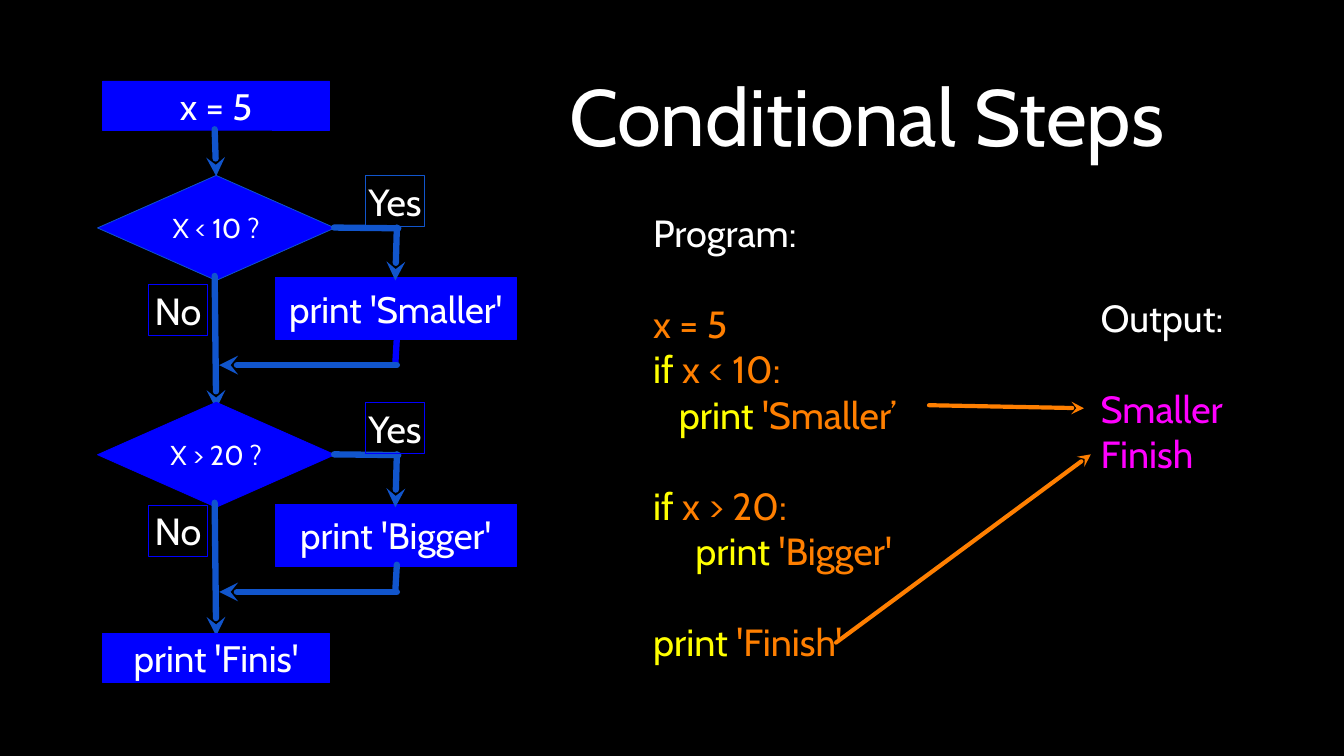
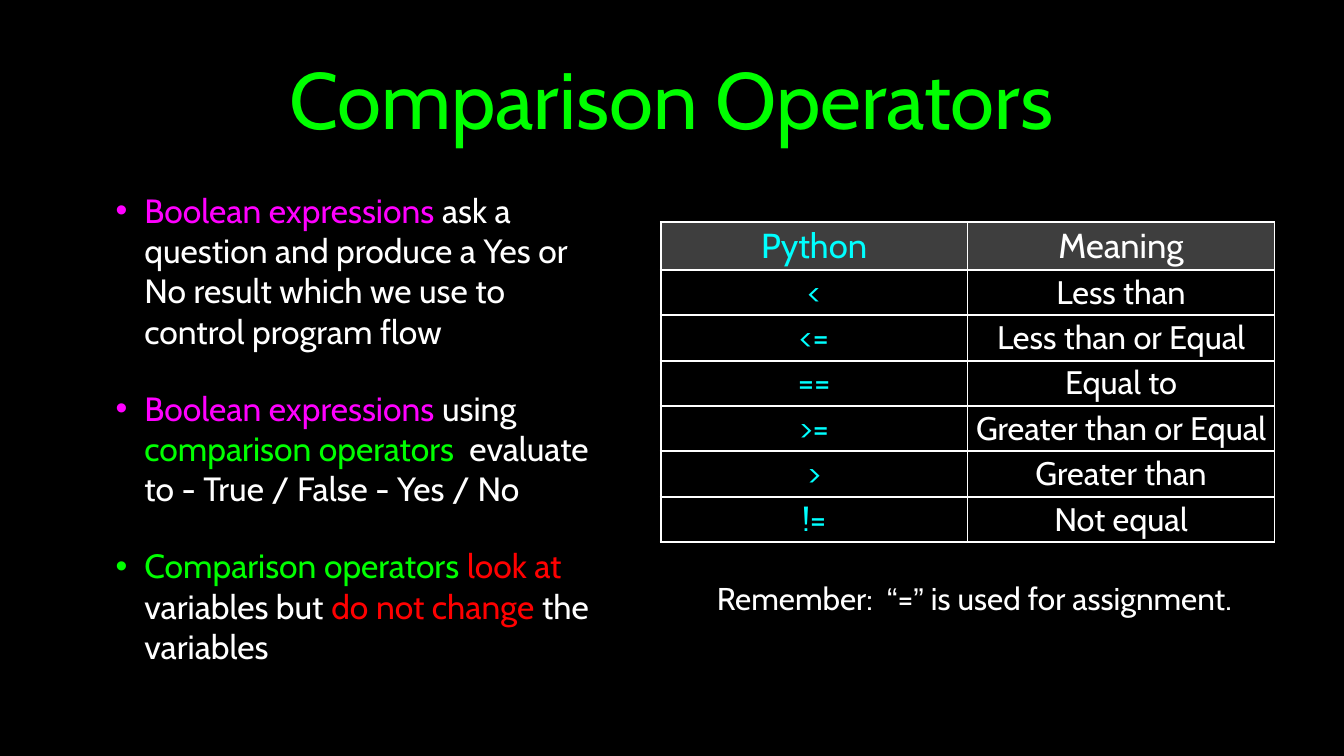
import dataclasses

import pptx
import pptx.dml.color
import pptx.enum.shapes
import pptx.enum.text
import pptx.oxml
import pptx.oxml.ns
import pptx.util
from pptx.util import Inches

SHAPE = pptx.enum.shapes.MSO_SHAPE
ALIGN = pptx.enum.text.PP_ALIGN
MIDDLE = pptx.enum.text.MSO_ANCHOR.MIDDLE
NS = pptx.oxml.ns.nsdecls("a")


@dataclasses.dataclass(frozen=True)
class Theme:
    font: str = "Cabin"
    quote_font: str = "Arial"
    black: str = "000000"
    white: str = "FFFFFF"
    blue: str = "0000FF"
    steel: str = "1155CC"
    orange: str = "FF7F00"
    yellow: str = "FFFF00"
    magenta: str = "FF00FF"
    green: str = "00FF00"
    red: str = "FF0000"
    cyan: str = "00FFFF"
    grey: str = "7F7F7F"
    title: int = 76
    code: int = 36
    step: int = 35
    question: int = 26
    bullet: int = 32
    note: int = 30
    table_head: int = 33
    table_body: int = 31
    code_gap: float = 43.4
    bullet_gap: int = 35
    inset: float = 0.04
    hairline: float = 0.75
    flow_line: int = 6
    pointer_line: int = 4
    border: int = 2


T = Theme()


def rgb(colour):
    return pptx.dml.color.RGBColor.from_string(colour)


def apply(obj, values):
    for name, value in values.items():
        setattr(obj, name, value)


def centre_vertically(frame, inset):
    """Anchor a text frame or table cell in the middle, with equal margins."""
    margins = {f"margin_{side}": Inches(inset) for side in ("left", "top", "right", "bottom")}
    apply(frame, {"vertical_anchor": MIDDLE, **margins})


def add_xml(parent, xml):
    """Append an element written as '<a:tag .../>' and return it."""
    tag, rest = xml.split(" ", 1)
    element = pptx.oxml.parse_xml(f"{tag} {NS} {rest}")
    parent.append(element)
    return element


def para(*runs, **layout):
    """One paragraph: runs are (text, colour[, font]); layout is gap, indent, bullet."""
    return runs, layout


class Deck:
    def __init__(self, theme, width, height):
        self.theme = theme
        self.prs = pptx.Presentation()
        apply(self.prs, {"slide_width": Inches(width), "slide_height": Inches(height)})
        self.s = None

    def slide(self):
        self.s = self.prs.slides.add_slide(self.prs.slide_layouts[6])
        fill = self.s.background.fill
        fill.solid()
        fill.fore_color.rgb = rgb(self.theme.black)

    def paragraphs(self, tf, paras, size, align):
        for i, (runs, layout) in enumerate(paras):
            p = tf.paragraphs[0] if i == 0 else tf.add_paragraph()
            p.alignment = align
            if "gap" in layout:
                p.space_before = pptx.util.Pt(layout["gap"])
            if "indent" in layout:
                p._p.get_or_add_pPr().set("marL", str(Inches(layout["indent"])))
            if "bullet" in layout:
                self.bullet(p, layout["bullet"])
            for text, colour, *font in runs:
                r = p.add_run()
                r.text = text
                apply(r.font, {"size": pptx.util.Pt(size),
                               "name": font[0] if font else self.theme.font})
                r.font.color.rgb = rgb(colour)

    def bullet(self, p, colour):
        pPr = p._p.get_or_add_pPr()
        pPr.set("marL", str(Inches(0.82)))
        pPr.set("indent", str(Inches(-0.38)))
        add_xml(add_xml(pPr, "<a:buClr />"), f'<a:srgbClr val="{colour}"/>')
        add_xml(pPr, f'<a:buFont typeface="{self.theme.quote_font}"/>')
        add_xml(pPr, '<a:buChar char="•"/>')

    def fill_text(self, sp, paras, size, align=ALIGN.LEFT, inset=0.0):
        tf = sp.text_frame
        tf.word_wrap = True
        centre_vertically(tf, inset)
        self.paragraphs(tf, paras, size, align)

    def text(self, box, paras, size, **style):
        sp = self.s.shapes.add_textbox(*map(Inches, box))
        self.fill_text(sp, paras, size, **style)

    def title(self, box, text, colour):
        self.text(box, [para((text, colour))], self.theme.title,
                  align=ALIGN.CENTER, inset=self.theme.inset)

    def shape(self, kind, box, text, size, line, fill=None):
        sp = self.s.shapes.add_shape(kind, *map(Inches, box))
        sp.shadow.inherit = False
        if fill:
            sp.fill.solid()
            sp.fill.fore_color.rgb = rgb(fill)
        else:
            sp.fill.background()
        sp.line.color.rgb = rgb(line)
        sp.line.width = pptx.util.Pt(self.theme.hairline)
        self.fill_text(sp, [para((text, self.theme.white))], size, align=ALIGN.CENTER)

    def line(self, start, end, colour, width, arrow=True):
        """A straight line whose arrowhead, if any, is at its end."""
        cx = self.s.shapes.add_connector(
            pptx.enum.shapes.MSO_CONNECTOR.STRAIGHT, *map(Inches, (*start, *end)))
        cx.line.color.rgb = rgb(colour)
        cx.line.width = pptx.util.Pt(width)
        ln = cx.line._get_or_add_ln()
        ln.set("cap", "rnd")
        add_xml(ln, "<a:round />")
        if arrow:
            add_xml(ln, '<a:tailEnd type="stealth"/>')
        add_xml(cx._element.spPr, "<a:effectLst />")

    def cell(self, cell, text, colour, size, is_head):
        tcPr = cell._tc.get_or_add_tcPr()
        for side in "LRTB":
            ln = add_xml(tcPr, f'<a:ln{side} w="{pptx.util.Pt(self.theme.border)}"/>')
            add_xml(add_xml(ln, "<a:solidFill />"), f'<a:srgbClr val="{self.theme.white}"/>')
        if is_head:
            cell.fill.solid()
            cell.fill.fore_color.rgb = rgb(self.theme.grey)
            shade = tcPr.find(pptx.oxml.ns.qn("a:solidFill"))[0]
            add_xml(shade, '<a:alpha val="49000"/>')
        else:
            cell.fill.background()
        centre_vertically(cell, self.theme.inset)
        self.paragraphs(cell.text_frame, [para((text, colour))], size, ALIGN.CENTER)

    def table(self, box, rows, heights, colours):
        table = self.s.shapes.add_table(len(rows), len(rows[0]), *map(Inches, box)).table
        for row, height in zip(table.rows, heights):
            row.height = Inches(height)
        for i, row in enumerate(rows):
            size = self.theme.table_body if i else self.theme.table_head
            for j, (text, colour) in enumerate(zip(row, colours)):
                self.cell(table.cell(i, j), text, colour, size, is_head=i == 0)


def flow_step(deck, box, text):
    deck.shape(SHAPE.RECTANGLE, box, text, T.step, T.blue, T.blue)


def flow_branch(deck, top, question, action, no_top, outline, stub):
    """A question with its No path down and its Yes path through an action."""
    def flow(x1, y1, x2, y2, colour=T.steel, arrow=True):
        deck.line((x1, top + y1), (x2, top + y2), colour, T.flow_line, arrow)

    deck.shape(SHAPE.DIAMOND, (1.29, top, 3.14, 1.39), question, T.question, outline, T.blue)
    flow(2.84, 1.33, 2.86, 3.09)
    flow_step(deck, (3.64, top + 1.35, 3.19, 0.82), action)
    flow(4.42, 0.69, 5.27, 0.7, arrow=False)
    flow(5.25, 0.69, 5.23, 1.39)
    flow(5.25, 2.15, 5.23, 2.49, stub, arrow=False)
    flow(5.25, 2.51, 2.9, 2.51)
    for text, left, label_top, line in (("Yes", 4.83, top, outline), ("No", 1.96, no_top, T.blue)):
        deck.shape(SHAPE.RECTANGLE, (left, label_top, 0.79, 0.68), text, T.code, line)


def conditional_steps(deck):
    deck.slide()
    deck.title((6.43, 0.26, 10.07, 2.51), "Conditional Steps", T.white)
    deck.text((14.56, 3.9, 1.73, 2.39), [
        para(("Output:", T.white)),
        para(("Smaller", T.magenta), gap=T.code_gap),
        para(("Finish", T.magenta)),
    ], T.code)
    deck.text((8.64, 2.75, 3.28, 6.06), [
        para(("Program:", T.white)),
        para(("x = 5", T.orange), gap=T.code_gap),
        para(("if", T.yellow), (" x < 10:", T.orange)),
        para(("print", T.yellow), (" 'Smaller’", T.orange), indent=0.34),
        para(("if", T.yellow), (" x > 20:", T.orange), gap=T.code_gap),
        para(("print", T.yellow), (" 'Bigger'", T.orange), indent=0.56),
        para(("print ", T.yellow), ("'Finish'", T.orange), gap=T.code_gap),
    ], T.code)

    flow_step(deck, (1.36, 1.07, 3, 0.65), "x = 5")
    deck.line((2.84, 1.71), (2.86, 2.33), T.steel, T.flow_line)
    flow_branch(deck, 2.32, "X < 10 ?", "print 'Smaller'", 3.76, T.steel, T.blue)
    flow_branch(deck, 5.32, "X > 20 ?", "print 'Bigger'", 6.68, T.blue, T.steel)
    flow_step(deck, (1.36, 8.38, 3, 0.65), "print 'Finis'")

    for start, end in (((12.29, 5.36), (14.34, 5.4)), ((11.06, 8.5), (14.43, 6.01))):
        deck.line(start, end, T.orange, T.pointer_line)


def comparison_operators(deck):
    deck.slide()
    deck.title((1.26, 0.26, 15.24, 2.07), "Comparison Operators", T.green)
    deck.text((1.05, 2.54, 6.99, 6.24), [
        para(("Boolean expressions", T.magenta),
             (" ask a question and produce a Yes or No result which we use to control "
              "program flow", T.white), bullet=T.magenta),
        para(("Boolean expressions", T.magenta), (" using ", T.white),
             ("comparison operators  ", T.green),
             ("evaluate to - True / False - Yes / No", T.white),
             bullet=T.magenta, gap=T.bullet_gap),
        para(("Comparison operators ", T.green), ("look at", T.red),
             (" variables but ", T.white), ("do not change", T.red),
             (" the variables", T.white), bullet=T.green, gap=T.bullet_gap),
    ], T.bullet, inset=T.inset)
    deck.text((8.94, 7.61, 7.9, 0.6), [
        para(("Remember:  ", T.white), ("“", T.white, T.quote_font), ("=", T.white),
             ("”", T.white, T.quote_font), (" is used for assignment.", T.white)),
    ], T.note, align=ALIGN.CENTER)
    rows = [
        ("Python", "Meaning"),
        ("<", "Less than"),
        ("<=", "Less than or Equal"),
        ("==", "Equal to"),
        (">=", "Greater than or Equal"),
        (">", "Greater than"),
        ("!=", "Not equal"),
    ]
    deck.table((8.74, 2.94, 8.12, 4.23), rows, [0.63] + [0.6] * 6, (T.cyan, T.white))


def main():
    deck = Deck(T, 17.78, 10)
    conditional_steps(deck)
    comparison_operators(deck)
    deck.prs.save("out.pptx")


if __name__ == "__main__":
    main()
